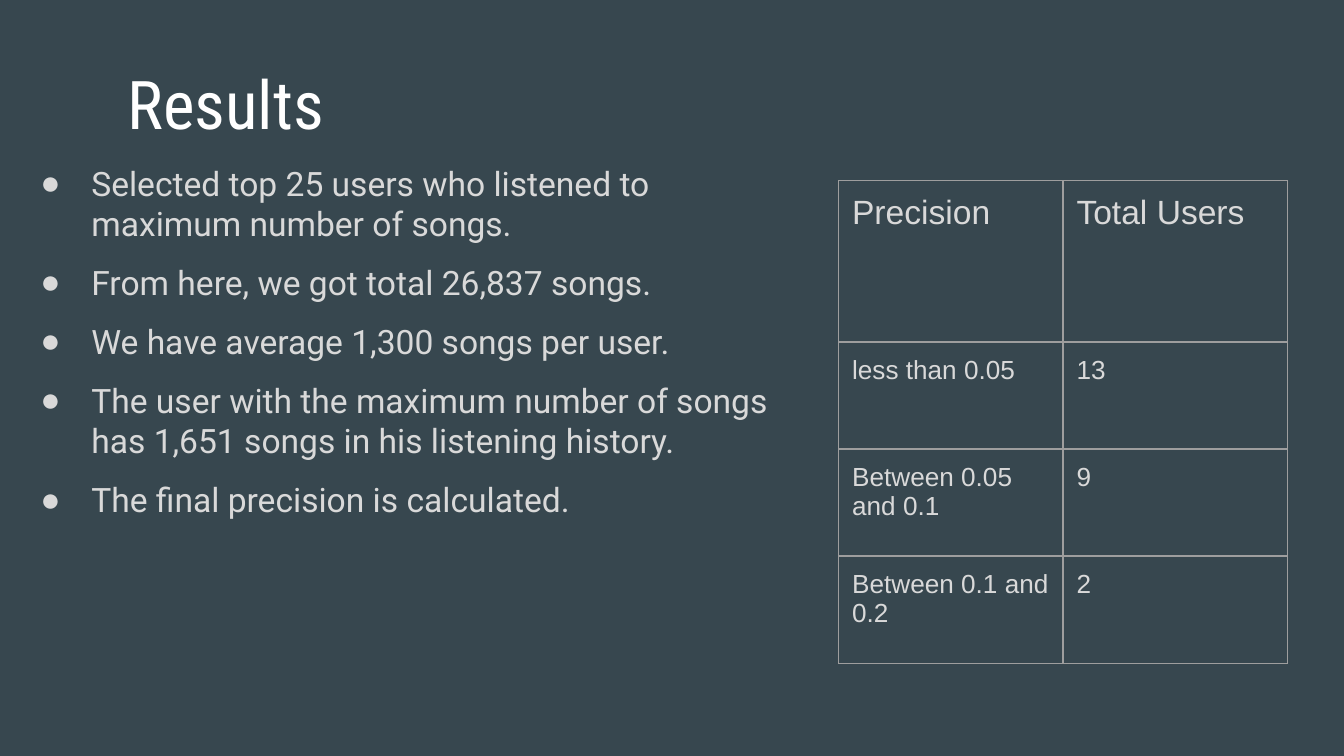
"""Build the Results slide: a bullet list beside a table of precision ranges."""
from lxml.etree import SubElement
from pptx import Presentation
from pptx.dml.color import RGBColor
from pptx.enum.text import MSO_ANCHOR, MSO_AUTO_SIZE, PP_ALIGN
from pptx.oxml import parse_xml
from pptx.oxml.ns import nsdecls, qn
from pptx.util import Inches, Pt

HUES = {"back": "37474F", "head": "FFFFFF", "text": "D9D9D9", "line": "9E9E9E"}
SIDES = ("left", "top", "width", "height")
EDGES = ("left", "right", "top", "bottom")

deck = Presentation()
deck.slide_width = Inches(10)
deck.slide_height = deck.slide_width * 9 // 16
UNIT = deck.slide_width / 100
PAD = int(UNIT)


def style(item, **vals):
    for key, val in vals.items():
        setattr(item, key, val)


def write(para, text, face, size, hue):
    run = para.add_run()
    run.text = text
    style(run.font, name=face, size=Pt(size), bold=False)
    run.font.color.rgb = RGBColor.from_string(HUES[hue])


slide = deck.slides.add_slide(deck.slide_layouts[1])
fill = slide.background.fill
fill.solid()
fill.fore_color.rgb = RGBColor.from_string(HUES["back"])

title, body = slide.placeholders
spots = (
    (title, (8.5, 2.9, 85.9, 9.4), MSO_ANCHOR.MIDDLE),
    (body, (0.8, 11.1, 57.6, 42.1), MSO_ANCHOR.TOP),
)
for shape, spot, anchor in spots:
    style(shape, **{side: int(n * UNIT) for side, n in zip(SIDES, spot)})
    frame = shape.text_frame
    style(frame, **{f"margin_{edge}": PAD for edge in EDGES})
    style(frame, word_wrap=True, auto_size=MSO_AUTO_SIZE.NONE, vertical_anchor=anchor)

para = title.text_frame.paragraphs[0]
para.alignment = PP_ALIGN.LEFT
write(para, "Results", "Roboto Condensed", 36, "head")

points = (
    "Selected top 25 users who listened to maximum number of songs.",
    "From here, we got total 26,837 songs.",
    "We have average 1,300 songs per user.",
    "The user with the maximum number of songs has 1,651 songs in his listening history.",
    "The final precision is calculated.",
)
frame = body.text_frame
for num, point in enumerate(points):
    para = frame.add_paragraph() if num else frame.paragraphs[0]
    style(para, space_before=Pt(10 if num else 0), alignment=PP_ALIGN.LEFT)
    props = para._p.get_or_add_pPr()
    props.set("marL", str(Inches(0.5)))
    props.set("indent", str(Inches(-0.38)))
    tint = SubElement(props, qn("a:buClr"))
    SubElement(tint, qn("a:srgbClr"), val=HUES["text"])
    SubElement(props, qn("a:buFont"), typeface="Arial")
    SubElement(props, qn("a:buChar"), char="●")
    write(para, point, "Roboto", 18, "text")

rows = (
    ("Precision", "Total Users"),
    ("less than 0.05", "13"),
    ("Between 0.05 and 0.1", "9"),
    ("Between 0.1 and 0.2", "2"),
)
tall = (12, 7.97, 7.97, 7.97)
wide = 16.7
spot = (62.4, 13.44, 2 * wide, sum(tall))
table = slide.shapes.add_table(len(rows), 2, *(int(n * UNIT) for n in spot)).table
style(table, first_row=False, horz_banding=False)
for col in table.columns:
    col.width = int(wide * UNIT)
for r, row in enumerate(rows):
    table.rows[r].height = int(tall[r] * UNIT)
    for c, text in enumerate(row):
        cell = table.cell(r, c)
        style(cell, **{f"margin_{edge}": PAD for edge in EDGES})
        cell.fill.background()
        write(cell.text_frame.paragraphs[0], text, "Arial", 14 if r else 18, "text")
        props = cell._tc.get_or_add_tcPr()
        for place, edge in enumerate("LRTB"):
            props.insert(place, parse_xml(
                f'<a:ln{edge} {nsdecls("a")} w="{Pt(0.75)}"><a:solidFill>'
                f'<a:srgbClr val="{HUES["line"]}"/></a:solidFill></a:ln{edge}>'))

deck.save("out.pptx")
